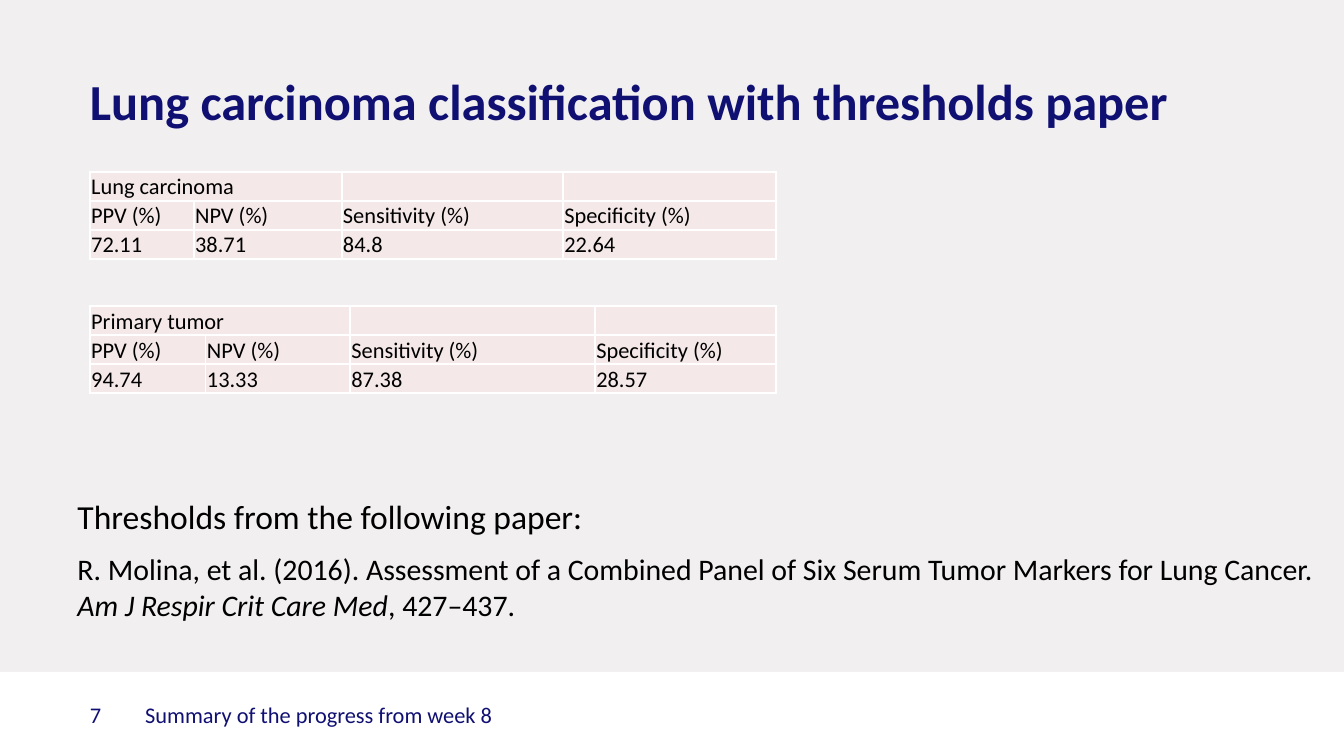
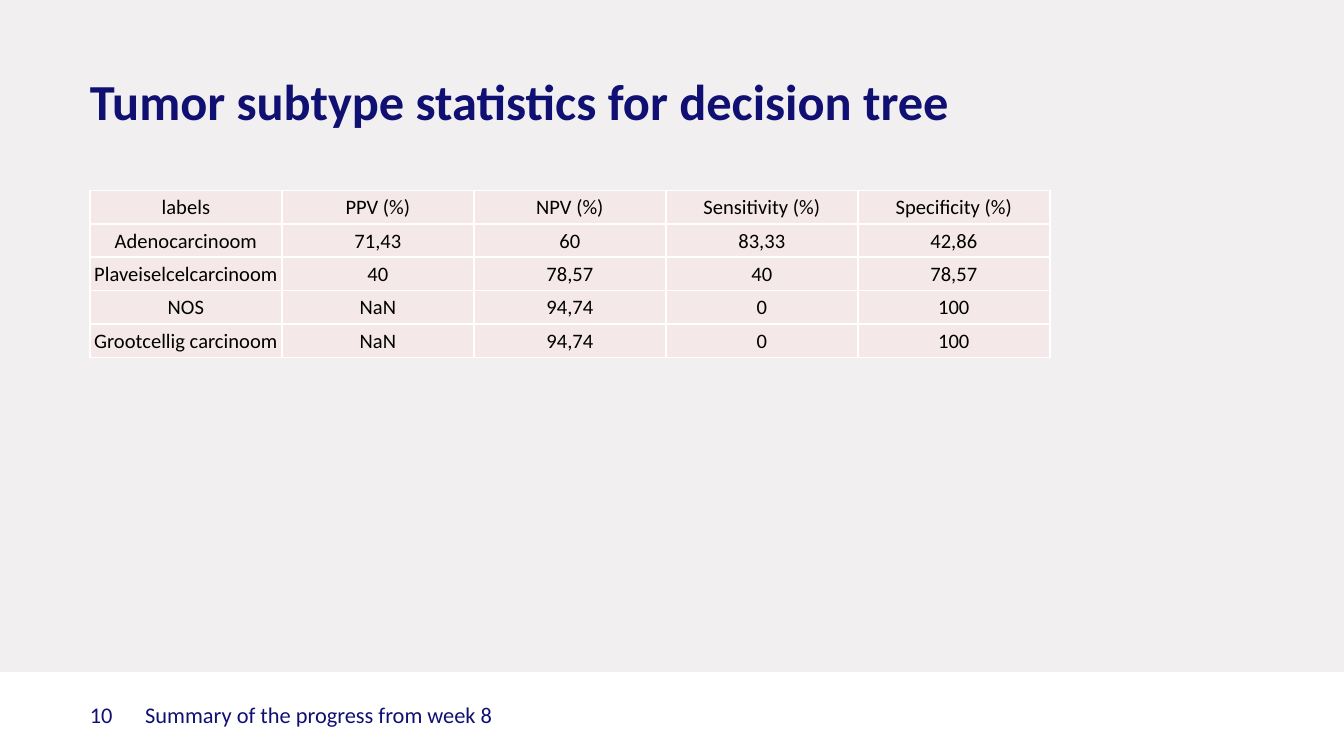
from dataclasses import dataclass

from lxml.etree import SubElement
from pptx import Presentation
from pptx.dml.color import RGBColor
from pptx.enum.shapes import MSO_SHAPE
from pptx.enum.text import MSO_ANCHOR, PP_ALIGN
from pptx.oxml.ns import qn
from pptx.presentation import Presentation as Deck
from pptx.slide import Slide
from pptx.table import _Cell as Cell
from pptx.text.text import TextFrame
from pptx.util import Pt

COLORS = {
    "background": "F1EFEF",
    "band": "FFFFFF",
    "navy": "101073",
    "text": "000000",
    "cell": "F5E8E8",
    "border": "FFFFFF",
}
FONT = "Calibri"
SLIDE_WIDTH, SLIDE_HEIGHT = 720, 405
BAND_TOP = 360
MARGIN = 48.2
FOOTER_TOP = 375.8
FOOTER_TEXT = "Summary of the progress from week 8"
MEASURES = ("PPV (%)", "NPV (%)", "Sensitivity (%)", "Specificity (%)")


@dataclass(frozen=True)
class Box:
    left: float
    top: float
    width: float
    height: float

    def lengths(self) -> tuple[Pt, Pt, Pt, Pt]:
        return Pt(self.left), Pt(self.top), Pt(self.width), Pt(self.height)


@dataclass(frozen=True)
class Run:
    text: str
    italic: bool = False


@dataclass(frozen=True)
class StatisticsTable:
    top: float
    column_widths: tuple[float, ...]
    row_height: float
    rows: tuple[tuple[str, ...], ...]
    font_size: float = 12
    align: PP_ALIGN = PP_ALIGN.LEFT
    anchor: MSO_ANCHOR = MSO_ANCHOR.MIDDLE
    heading: str = ""


LUNG_TABLE = StatisticsTable(
    top=92.2,
    column_widths=(55.7, 79.2, 118.6, 114),
    row_height=15.55,
    rows=(MEASURES, ("72.11", "38.71", "84.8", "22.64")),
    heading="Lung carcinoma",
)
PRIMARY_TABLE = StatisticsTable(
    top=164,
    column_widths=(62, 77.4, 131.2, 96.9),
    row_height=15.55,
    rows=(MEASURES, ("94.74", "13.33", "87.38", "28.57")),
    anchor=MSO_ANCHOR.BOTTOM,
    heading="Primary tumor",
)
SUBTYPE_TABLE = StatisticsTable(
    top=102,
    column_widths=(102.85,) * 5,
    row_height=17.9,
    rows=(
        ("labels", *MEASURES),
        ("Adenocarcinoom", "71,43", "60", "83,33", "42,86"),
        ("Plaveiselcelcarcinoom", "40", "78,57", "40", "78,57"),
        ("NOS", "NaN", "94,74", "0", "100"),
        ("Grootcellig carcinoom", "NaN", "94,74", "0", "100"),
    ),
    font_size=11,
    align=PP_ALIGN.CENTER,
)
CITATION = (
    Run("R. Molina, et al. (2016). Assessment of a Combined Panel of Six Serum Tumor Markers for Lung Cancer. "),
    Run("Am J Respir Crit Care Med", italic=True),
    Run(", 427–437."),
)


def rgb(name: str) -> RGBColor:
    return RGBColor.from_string(COLORS[name])


def write_text(
    frame: TextFrame,
    text: str | tuple[Run, ...],
    *,
    size: float,
    color: str = "text",
    bold: bool = False,
    align: PP_ALIGN = PP_ALIGN.LEFT,
    line_spacing: float | None = None,
) -> None:
    paragraph = frame.paragraphs[0]
    paragraph.alignment = align
    if line_spacing:
        paragraph.line_spacing = Pt(line_spacing)
    runs = (Run(text),) if isinstance(text, str) else text
    for part in runs:
        if not part.text:
            continue
        run = paragraph.add_run()
        run.text = part.text
        run.font.name = FONT
        run.font.size = Pt(size)
        run.font.bold = bold
        run.font.italic = part.italic
        run.font.color.rgb = rgb(color)
    SubElement(paragraph._p, qn("a:endParaRPr"), sz=str(int(size * 100)))


def add_text(slide: Slide, box: Box, text: str | tuple[Run, ...], *, inset: bool = False, **text_format) -> None:
    frame = slide.shapes.add_textbox(*box.lengths()).text_frame
    frame.word_wrap = True
    if not inset:
        frame.margin_left = frame.margin_right = frame.margin_top = frame.margin_bottom = 0
    write_text(frame, text, **text_format)


def add_borders(cell: Cell) -> None:
    properties = cell._tc.get_or_add_tcPr()
    for side in ("a:lnL", "a:lnR", "a:lnT", "a:lnB"):
        line = SubElement(properties, qn(side), w=str(Pt(1)))
        fill = SubElement(line, qn("a:solidFill"))
        SubElement(fill, qn("a:srgbClr"), val=COLORS["border"])


def add_statistics(slide: Slide, statistics: StatisticsTable) -> None:
    column_count = len(statistics.column_widths)
    rows = statistics.rows
    if statistics.heading:
        rows = ((statistics.heading,) + ("",) * (column_count - 1), *rows)
    box = Box(MARGIN, statistics.top, sum(statistics.column_widths), statistics.row_height * len(rows))
    table = slide.shapes.add_table(len(rows), column_count, *box.lengths()).table
    table.first_row = table.horz_banding = False
    for column, width in zip(table.columns, statistics.column_widths):
        column.width = Pt(width)
    for row, values in zip(table.rows, rows):
        row.height = Pt(statistics.row_height)
        for cell, value in zip(row.cells, values):
            cell.margin_left = cell.margin_right = cell.margin_top = Pt(0.7)
            cell.margin_bottom = 0
            cell.vertical_anchor = statistics.anchor
            add_borders(cell)
            cell.fill.solid()
            cell.fill.fore_color.rgb = rgb("cell")
            write_text(cell.text_frame, value, size=statistics.font_size, align=statistics.align)
    if statistics.heading:
        table.cell(0, 0).merge(table.cell(0, 1))


def add_slide(presentation: Deck, title: str, number: int) -> Slide:
    slide = presentation.slides.add_slide(presentation.slide_layouts[6])
    slide.background.fill.solid()
    slide.background.fill.fore_color.rgb = rgb("background")
    band_box = Box(0, BAND_TOP, SLIDE_WIDTH, SLIDE_HEIGHT - BAND_TOP)
    band = slide.shapes.add_shape(MSO_SHAPE.RECTANGLE, *band_box.lengths())
    band.shadow.inherit = False
    band.fill.solid()
    band.fill.fore_color.rgb = rgb("band")
    band.line.fill.background()
    add_text(slide, Box(MARGIN, 43.2, 623.5, 31), title, size=27, color="navy", bold=True, line_spacing=27)
    add_text(slide, Box(77.8, FOOTER_TOP, 530, 27.4), FOOTER_TEXT, size=12, color="navy")
    add_text(slide, Box(MARGIN, FOOTER_TOP, 47.5, 27.4), str(number), size=12, color="navy")
    return slide


def main() -> None:
    presentation = Presentation()
    presentation.slide_width = Pt(SLIDE_WIDTH)
    presentation.slide_height = Pt(SLIDE_HEIGHT)

    thresholds = add_slide(presentation, "Lung carcinoma classification with thresholds paper", 7)
    add_statistics(thresholds, LUNG_TABLE)
    add_statistics(thresholds, PRIMARY_TABLE)
    add_text(thresholds, Box(34.4, 291.6, 681, 67.7), CITATION, size=16, inset=True)
    add_text(thresholds, Box(34.4, 262, 316, 29), "Thresholds from the following paper:", size=18, inset=True)

    subtypes = add_slide(presentation, "Tumor subtype statistics for decision tree", 10)
    add_statistics(subtypes, SUBTYPE_TABLE)

    presentation.save("out.pptx")


if __name__ == "__main__":
    main()
